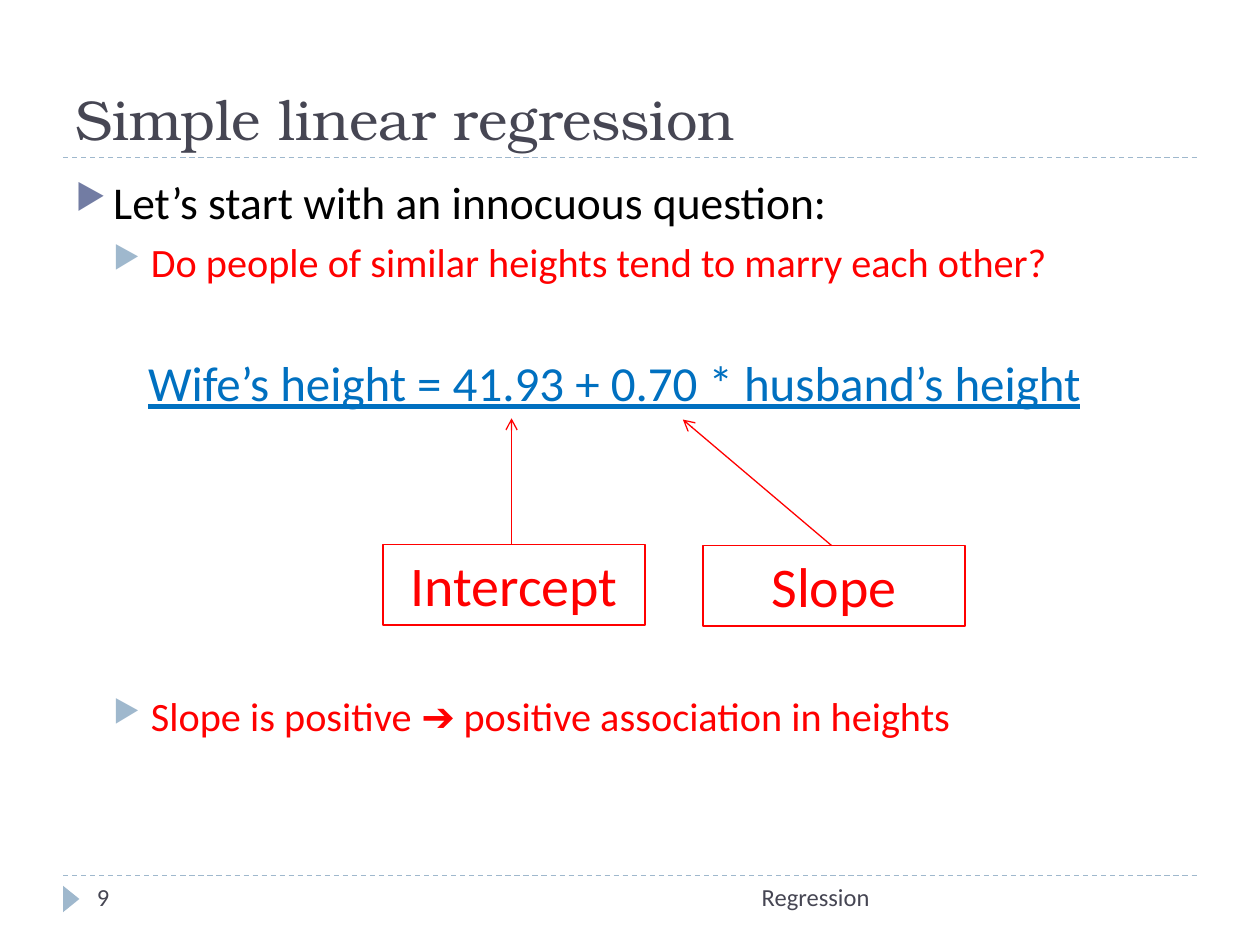
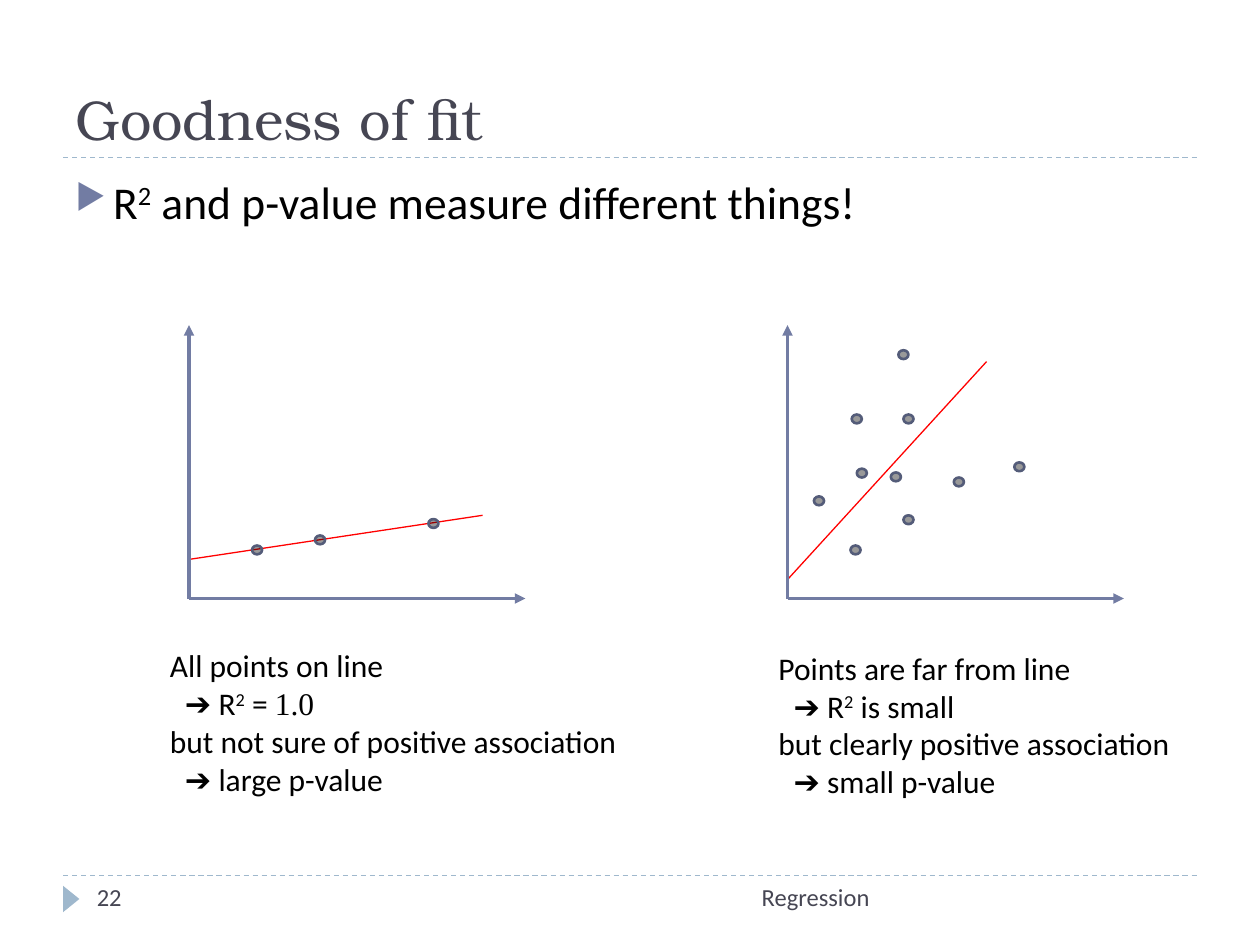
from dataclasses import dataclass

from lxml import etree
from pptx import Presentation
from pptx import util as u
from pptx.dml.color import RGBColor
from pptx.enum import dml, shapes, text
from pptx.oxml.ns import qn

INK = "464653"
BLACK = "000000"
WHITE = "FFFFFF"
RED = "FF0000"
BLUE = "0070C0"
INDIGO = "727CA3"
DARK_INDIGO = "545C79"
SKY = "9FB8CD"

BODY_FONT = "Calibri"
TITLE_FONT = "TeX Gyre Bonum"
NUMBER_FONT = "Times New Roman"

LEFT, RIGHT = 0.5, 9.5
TITLE_RULE, FOOTER_RULE = 1.25, 6.95
AXIS_BASE, AXIS_TOP, AXIS_WIDTH = 4.75, 2.58, 2.67
DOT_WIDTH, DOT_HEIGHT = 0.08, 0.07


@dataclass(frozen=True)
class Run:
    text: str
    font: str = BODY_FONT
    superscript: bool = False


@dataclass(frozen=True)
class Paragraph:
    runs: tuple[Run, ...]
    size: float = 18
    color: str = BLACK
    align: text.PP_ALIGN = text.PP_ALIGN.LEFT
    underline: bool = False
    space_before: float = 0
    indent: float = 0
    hanging: float = 0
    bullet_color: str = ""


@dataclass(frozen=True)
class Box:
    left: float
    top: float
    width: float
    height: float

    def lengths(self) -> tuple[u.Length, ...]:
        return tuple(u.Inches(side) for side in (self.left, self.top, self.width, self.height))


@dataclass(frozen=True)
class Label:
    text: str
    box: Box
    arrow_start: tuple[float, float]
    arrow_end: tuple[float, float]


@dataclass(frozen=True)
class Plot:
    left: float
    fit_start: float
    fit_end: tuple[float, float]
    dots: tuple[tuple[float, float], ...]
    caption_box: Box
    caption: tuple[Paragraph, ...]


def rgb(value: str) -> RGBColor:
    return RGBColor.from_string(value)


def plain(content: str, **style) -> Paragraph:
    return Paragraph((Run(content),), **style)


def top_bullet(*runs: Run) -> Paragraph:
    return Paragraph(runs, size=26, space_before=6, indent=0.3, hanging=0.3, bullet_color=INDIGO)


def sub_bullet(content: str, space_before: float = 5) -> Paragraph:
    return plain(content, size=23, color=RED, space_before=space_before,
                 indent=0.6, hanging=0.3, bullet_color=SKY)


def conclusion(*runs: Run) -> Paragraph:
    return Paragraph((Run("➔ "),) + runs, indent=0.12)


def add_bullet(properties, color: str) -> None:
    bullet_color = etree.SubElement(properties, qn("a:buClr"))
    etree.SubElement(bullet_color, qn("a:srgbClr"), val=color)
    etree.SubElement(properties, qn("a:buSzPct"), val="76000")
    etree.SubElement(properties, qn("a:buChar"), char="▶")


def write_paragraph(paragraph, content: Paragraph) -> None:
    paragraph.alignment = content.align
    paragraph.space_before = u.Pt(content.space_before)
    properties = paragraph._p.get_or_add_pPr()
    properties.set("marL", str(u.Inches(content.indent)))
    properties.set("indent", str(-u.Inches(content.hanging)))
    if content.bullet_color:
        add_bullet(properties, content.bullet_color)
    for part in content.runs:
        run = paragraph.add_run()
        run.text = part.text
        run.font.name = part.font
        run.font.size = u.Pt(content.size)
        run.font.color.rgb = rgb(content.color)
        if content.underline:
            run.font.underline = True
        if part.superscript:
            run._r.get_or_add_rPr().set("baseline", "30000")


def write_text(shape, *paragraphs: Paragraph, anchor=text.MSO_ANCHOR.TOP) -> None:
    frame = shape.text_frame
    frame.word_wrap = True
    frame.vertical_anchor = anchor
    for index, content in enumerate(paragraphs):
        paragraph = frame.add_paragraph() if index else frame.paragraphs[0]
        write_paragraph(paragraph, content)


def add_text(slide, box: Box, *paragraphs: Paragraph, anchor=text.MSO_ANCHOR.TOP) -> None:
    write_text(slide.shapes.add_textbox(*box.lengths()), *paragraphs, anchor=anchor)


def add_line(target, start: tuple[float, float], end: tuple[float, float], color: str,
             width: float = 0.75, dashed: bool = False, arrow: str = "") -> None:
    points = (u.Inches(value) for value in start + end)
    connector = target.shapes.add_connector(shapes.MSO_CONNECTOR.STRAIGHT, *points)
    connector.line.color.rgb = rgb(color)
    connector.line.width = u.Pt(width)
    if dashed:
        connector.line.dash_style = dml.MSO_LINE.DASH
    properties = connector._element.spPr
    if arrow:
        etree.SubElement(properties.find(qn("a:ln")), qn("a:tailEnd"), type=arrow)
    etree.SubElement(properties, qn("a:effectLst"))


def add_shape(target, kind: shapes.MSO_SHAPE, box: Box, fill: str, line: str = "",
              line_width: float = 0.75, opacity: int = 100):
    shape = target.shapes.add_shape(kind, *box.lengths())
    shape.shadow.inherit = False
    shape.fill.solid()
    shape.fill.fore_color.rgb = rgb(fill)
    if opacity < 100:
        color = shape._element.spPr.find(qn("a:solidFill")).find(qn("a:srgbClr"))
        etree.SubElement(color, qn("a:alpha"), val=str(opacity * 1000))
    if line:
        shape.line.color.rgb = rgb(line)
        shape.line.width = u.Pt(line_width)
    else:
        shape.line.fill.background()
    return shape


def add_base_slide(presentation, title: str, number: int, *body: Paragraph):
    slide = presentation.slides.add_slide(presentation.slide_layouts[6])
    for height in (FOOTER_RULE, TITLE_RULE):
        add_line(slide, (LEFT, height), (RIGHT, height), SKY, dashed=True)
    marker = add_shape(slide, shapes.MSO_SHAPE.ISOSCELES_TRIANGLE,
                       Box(0.46, 7.07, 0.21, 0.13), SKY)
    marker.rotation = 90
    add_text(slide, Box(LEFT, 0.17, RIGHT - LEFT, 1.08),
             Paragraph((Run(title, TITLE_FONT),), size=32, color=INK),
             anchor=text.MSO_ANCHOR.BOTTOM)
    add_text(slide, Box(3.17, FOOTER_RULE, 3.83, 0.4),
             plain("Regression", size=14, color=INK, align=text.PP_ALIGN.RIGHT))
    add_text(slide, Box(0.67, FOOTER_RULE, 2.17, 0.4), plain(str(number), size=14, color=INK))
    add_text(slide, Box(LEFT, 1.33, RIGHT - LEFT, 5.5), *body)
    return slide


def add_label(slide, label: Label) -> None:
    shape = add_shape(slide, shapes.MSO_SHAPE.RECTANGLE, label.box, WHITE, RED)
    write_text(shape, plain(label.text, size=32, color=RED, align=text.PP_ALIGN.CENTER))
    add_line(slide, label.arrow_start, label.arrow_end, RED, arrow="arrow")


def add_plot(slide, plot: Plot) -> None:
    group = slide.shapes.add_group_shape()
    origin = (plot.left, AXIS_BASE)
    add_line(group, (plot.left, plot.fit_start), plot.fit_end, RED)
    for end in ((plot.left + AXIS_WIDTH, AXIS_BASE), (plot.left, AXIS_TOP)):
        add_line(group, origin, end, INDIGO, width=2, arrow="triangle")
    for left, top in plot.dots:
        add_shape(group, shapes.MSO_SHAPE.OVAL, Box(left, top, DOT_WIDTH, DOT_HEIGHT),
                  BLACK, DARK_INDIGO, line_width=1.5, opacity=40)
    add_text(slide, plot.caption_box, *plot.caption)


SQUARED = Run("2", superscript=True)

LABELS = (
    Label("Intercept", Box(3.04, 4.32, 2.08, 0.64), (4.06, 4.32), (4.06, 3.32)),
    Label("Slope", Box(5.58, 4.33, 2.08, 0.64), (6.6, 4.33), (5.42, 3.33)),
)

PLOTS = (
    Plot(1.5, 4.44, (3.83, 4.09),
         ((2, 4.33), (2.5, 4.25), (3.4, 4.12)),
         Box(1.25, 5.08, 3.83, 1.31),
         (plain("All points on line"),
          conclusion(Run("R"), SQUARED, Run(" = "), Run("1.0", NUMBER_FONT)),
          plain("but not sure of positive association"),
          conclusion(Run("large p-value")))),
    Plot(6.25, 4.6, (7.83, 2.87),
         ((6.75, 4.33), (6.8, 3.72), (7.17, 4.09), (6.76, 3.29), (7.07, 3.75),
          (7.57, 3.79), (7.17, 3.29), (8.05, 3.67), (6.46, 3.94), (7.13, 2.78)),
         Box(6.08, 5.1, 3.83, 1.31),
         (plain("Points are far from line"),
          conclusion(Run("R"), SQUARED, Run(" is small")),
          plain("but clearly positive association"),
          conclusion(Run("small p-value")))),
)


def build_regression_slide(presentation) -> None:
    slide = add_base_slide(
        presentation, "Simple linear regression", 9,
        top_bullet(Run("Let’s start with an innocuous question:")),
        sub_bullet("Do people of similar heights tend to marry each other?"),
        sub_bullet("Slope is positive ➔ positive association in heights", space_before=232))
    add_text(slide, Box(1, 2.75, 7.75, 0.57),
             plain("Wife’s height = 41.93 + 0.70 * husband’s height", size=28, color=BLUE,
                   align=text.PP_ALIGN.CENTER, underline=True))
    for label in LABELS:
        add_label(slide, label)


def build_fit_slide(presentation) -> None:
    slide = add_base_slide(
        presentation, "Goodness of fit", 22,
        top_bullet(Run("R"), SQUARED, Run(" and p-value measure different things!")))
    for plot in PLOTS:
        add_plot(slide, plot)


def main() -> None:
    presentation = Presentation()
    presentation.slide_width = u.Inches(10)
    presentation.slide_height = u.Inches(7.5)
    build_regression_slide(presentation)
    build_fit_slide(presentation)
    presentation.save("out.pptx")


main()
